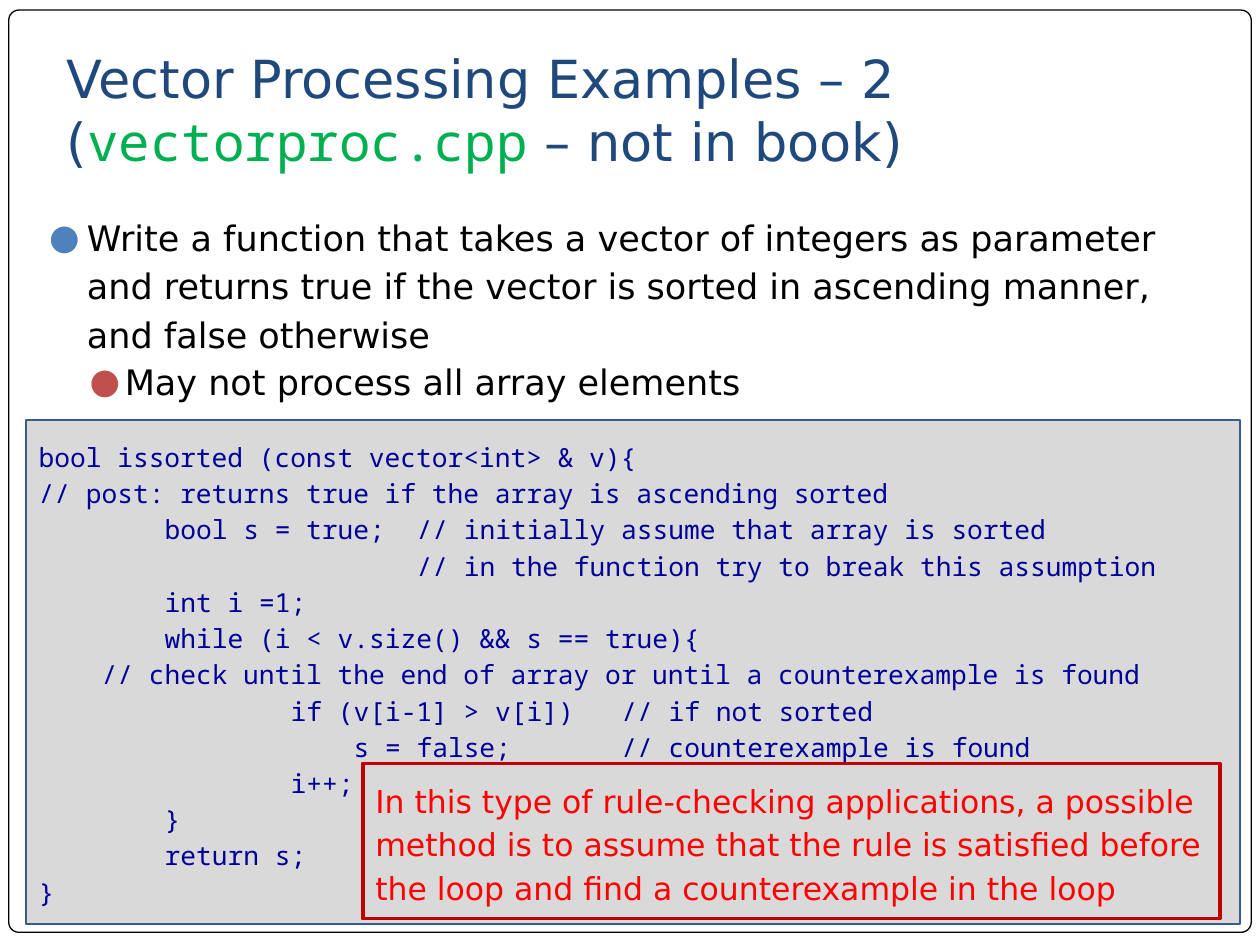
from pptx import Presentation
from pptx.dml.color import RGBColor
from pptx.enum.shapes import MSO_SHAPE as Shape
from pptx.enum.text import MSO_ANCHOR as Anchor, PP_ALIGN as Align
from pptx.oxml.ns import qn
from pptx.util import Pt
from lxml.etree import SubElement

SANS, MONO = "DejaVu Sans", "Noto Sans Mono"
NAVY, GREEN, CODE_BLUE = "1F497D", "00B050", "000099"
BLACK, WHITE, RED, DARK_RED = "000000", "FFFFFF", "FF0000", "C00000"
LEADING = 1.38  # line pitch as a multiple of the text size


def color(value):
    return RGBColor.from_string(value)


def add_text(paragraph, text, font=SANS, size=20, fill=BLACK):
    run = paragraph.add_run()
    run.text = text
    run.font.name = font
    run.font.size = Pt(size)
    run.font.color.rgb = color(fill)


class SlideBuilder:
    def __init__(self, presentation):
        self.slide = presentation.slides.add_slide(presentation.slide_layouts[6])

    def box(self, left, top, width, height, kind=Shape.RECTANGLE,
            fill=None, line=BLACK, weight=1):
        shape = self.slide.shapes.add_shape(
            kind, Pt(left), Pt(top), Pt(width), Pt(height))
        shape.shadow.inherit = False
        if fill:
            shape.fill.solid()
            shape.fill.fore_color.rgb = color(fill)
        else:
            shape.fill.background()
        shape.line.color.rgb = color(line)
        shape.line.width = Pt(weight)
        return shape

    def text_box(self, left, top, width, height):
        return self.slide.shapes.add_textbox(
            Pt(left), Pt(top), Pt(width), Pt(height))

    def frame(self, shape, anchor=Anchor.TOP, top=3.6, bottom=3.6):
        frame = shape.text_frame
        frame.word_wrap = True
        frame.vertical_anchor = anchor
        frame.margin_top, frame.margin_bottom = Pt(top), Pt(bottom)
        return frame

    def paragraph(self, frame, pitch):
        first = frame.paragraphs[0]
        paragraph = frame.add_paragraph() if first.runs else first
        paragraph.alignment = Align.LEFT
        paragraph.line_spacing = Pt(pitch)
        return paragraph

    def bullet(self, frame, text, margin, hanging, dot):
        paragraph = self.paragraph(frame, 20 * LEADING)
        properties = paragraph._p.get_or_add_pPr()
        properties.set("marL", str(Pt(margin)))
        properties.set("indent", str(-Pt(hanging)))
        bullet_color = SubElement(properties, qn("a:buClr"))
        SubElement(bullet_color, qn("a:srgbClr"), val=dot)
        SubElement(properties, qn("a:buFont"), typeface=SANS)
        SubElement(properties, qn("a:buChar"), char="●")
        add_text(paragraph, text)

    def code_line(self, frame, parts):
        """Set each part of a line at its own column, in points."""
        paragraph = self.paragraph(frame, 15 * LEADING)
        columns = [column for column, _ in parts if column]
        if columns:
            tabs = SubElement(paragraph._p.get_or_add_pPr(), qn("a:tabLst"))
            for column in columns:
                SubElement(tabs, qn("a:tab"), pos=str(Pt(column)), algn="l")
        text = "".join("\t" + part if column else part for column, part in parts)
        add_text(paragraph, text, font=MONO, size=15, fill=CODE_BLUE)


# Code columns: comment, outer and inner block, nested statement, side comments
NOTE, OUTER, INNER, NESTED, SIDE, FAR_SIDE = 36, 72, 144, 180, 216, 333
CODE = [
    [(0, "bool issorted (const vector<int> & v){")],
    [(0, "// post: returns true if the array is ascending sorted")],
    [(OUTER, "bool s = true;"),
     (SIDE, "// initially assume that array is sorted")],
    [(SIDE, "// in the function try to break this assumption")],
    [(OUTER, "int i =1;")],
    [(OUTER, "while (i < v.size() && s == true){")],
    [(NOTE, "// check until the end of array or until a counterexample is found")],
    [(INNER, "if (v[i-1] > v[i])"), (FAR_SIDE, "// if not sorted")],
    [(NESTED, "s = false;"), (FAR_SIDE, "// counterexample is found")],
    [(INNER, "i++;")],
    [(OUTER, "}")],
    [(OUTER, "return s;")],
    [(0, "}")],
]


def main():
    presentation = Presentation()
    presentation.slide_width, presentation.slide_height = Pt(720), Pt(540)
    builder = SlideBuilder(presentation)

    # Page border
    border = builder.box(5, 5.75, 710, 527, kind=Shape.ROUNDED_RECTANGLE,
                         fill=WHITE, weight=0.75)
    border.adjustments[0] = 0.011

    # Code panel
    panel = builder.box(15, 240, 693.5, 288, fill="D9D9D9", line="385D8A")
    code = builder.frame(panel, anchor=Anchor.MIDDLE)
    for parts in CODE:
        builder.code_line(code, parts)

    # Title
    title = builder.frame(builder.text_box(31, 26.6, 642, 79.2),
                          anchor=Anchor.BOTTOM, bottom=7.2)
    heading = builder.paragraph(title, 36)
    add_text(heading, "Vector Processing Examples – 2", size=30, fill=NAVY)
    heading.add_line_break()
    add_text(heading, "(", size=30, fill=NAVY)
    add_text(heading, "vectorproc.cpp", font=MONO, size=30, fill=GREEN)
    add_text(heading, " – not in book)", size=30, fill=NAVY)

    # Task and remark
    task = builder.frame(builder.text_box(21, 116.6, 686, 64))
    builder.bullet(task, "Write a function that takes a vector of integers as "
                   "parameter and returns true if the vector is sorted in "
                   "ascending manner, and false otherwise", 21.6, 23, "4F81BD")
    remark = builder.frame(builder.text_box(21, 195, 578, 53), top=7.2, bottom=7.2)
    builder.bullet(remark, "May not process all array elements", 43.2, 20, "C0504D")

    # Callout
    callout = builder.box(207.4, 436.3, 489.6, 88.6, line=DARK_RED, weight=2.25)
    advice = builder.frame(callout, top=7.2, bottom=7.2)
    add_text(builder.paragraph(advice, 18 * LEADING),
             "In this type of rule-checking applications, a possible method is "
             "to assume that the rule is satisfied before the loop and find a "
             "counterexample in the loop", size=18, fill=RED)

    presentation.save("out.pptx")


if __name__ == "__main__":
    main()
